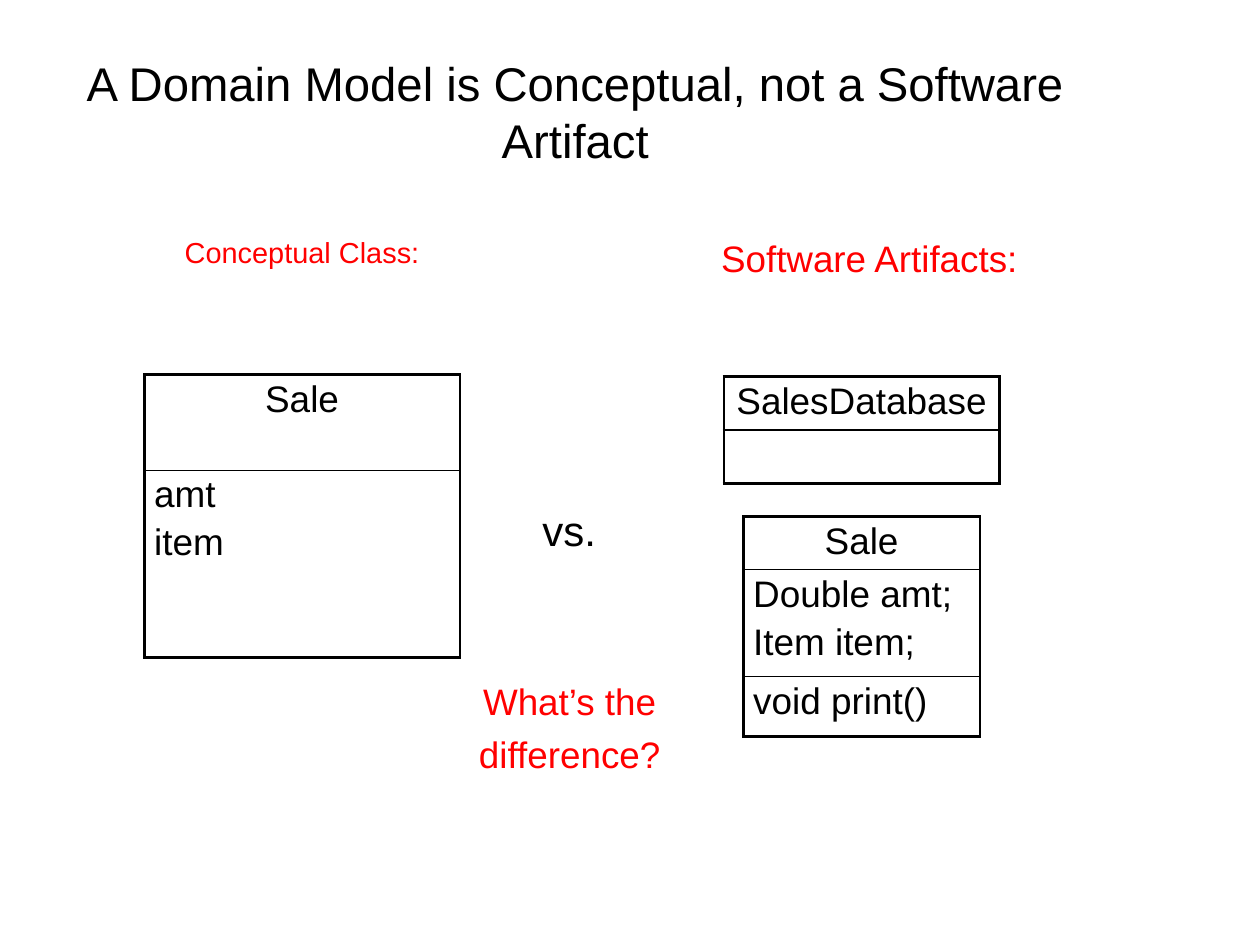
from lxml import etree
from pptx import Presentation
from pptx import util as u
from pptx.dml import color
from pptx.enum import text
from pptx.oxml import ns

BLACK, RED = "000000", "FF0000"
CENTER, LEFT = text.PP_ALIGN.CENTER, text.PP_ALIGN.LEFT
MIDDLE, TOP = text.MSO_ANCHOR.MIDDLE, text.MSO_ANCHOR.TOP
THICK, THIN = u.Pt(2.25), u.Pt(1)


def rgb(value):
    return color.RGBColor.from_string(value)


def write(frame, lines, size=30, fill=BLACK, align=CENTER, gap=5):
    for index, line in enumerate(lines):
        para = frame.add_paragraph() if index else frame.paragraphs[0]
        para.alignment = align
        para.space_before = u.Pt(gap if index else 0)
        span = para.add_run()
        span.text = line
        span.font.name = "Arial"
        span.font.size = u.Pt(size)
        span.font.color.rgb = rgb(fill)


def add_title(page, words):
    title = page.shapes.title
    title.left, title.top = u.Cm(1.35), u.Cm(1.07)
    title.width, title.height = u.Cm(30.28), u.Cm(4.24)
    title.text_frame.auto_size = text.MSO_AUTO_SIZE.NONE
    title.text_frame.vertical_anchor = MIDDLE
    write(title.text_frame, [words], size=38.4)


def add_label(page, lines, left, top, width=11.28, height=2.26, **style):
    box = page.shapes.add_textbox(u.Cm(left), u.Cm(top), u.Cm(width), u.Cm(height))
    box.text_frame.word_wrap = True
    write(box.text_frame, lines, gap=7, **style)


def add_border(cell, side, width):
    properties = cell._tc.get_or_add_tcPr()
    line = etree.SubElement(properties, ns.qn(f"a:ln{side}"), w=str(width))
    solid = etree.SubElement(line, ns.qn("a:solidFill"))
    etree.SubElement(solid, ns.qn("a:srgbClr"), val=BLACK)


def add_class(page, left, top, width, compartments):
    heights = [u.Cm(height) for height, _ in compartments]
    last = len(heights) - 1
    table = page.shapes.add_table(
        len(heights), 1, u.Cm(left), u.Cm(top), u.Cm(width), sum(heights)
    ).table
    table.first_row = table.horz_banding = False
    for index, (_, lines) in enumerate(compartments):
        table.rows[index].height = heights[index]
        cell = table.cell(index, 0)
        cell.margin_left = cell.margin_right = u.Cm(0.28)
        cell.margin_top = cell.margin_bottom = u.Cm(0.13)
        cell.vertical_anchor = TOP
        add_border(cell, "L", THICK)
        add_border(cell, "R", THICK)
        add_border(cell, "T", THIN if index else THICK)
        add_border(cell, "B", THICK if index == last else THIN)
        cell.fill.background()
        write(cell.text_frame, lines, align=LEFT if index else CENTER)


def main():
    deck = Presentation()
    deck.slide_width, deck.slide_height = u.Cm(36.12), u.Cm(27.1)
    page = deck.slides.add_slide(deck.slide_layouts.get_by_name("Title Only"))

    add_title(page, "A Domain Model is Conceptual, not a Software Artifact")
    add_label(page, ["Conceptual Class:"], 3.02, 6.6, size=23.5, fill=RED)
    add_class(page, 4.14, 10.74, 9.04, [(2.74, ["Sale"]), (5.38, ["amt", "item"])])
    add_class(page, 20.75, 10.8, 7.9, [(1.53, ["SalesDatabase"]), (1.53, [])])
    add_class(page, 21.31, 14.81, 6.78, [
        (1.53, ["Sale"]),
        (3.05, ["Double amt;", "Item item;"]),
        (1.73, ["void print()"]),
    ])
    add_label(page, ["Software Artifacts:"], 19.28, 6.63, size=29.9, fill=RED)
    add_label(page, ["vs."], 13.61, 14.35, width=5.41, size=34.1)
    add_label(page, ["What’s the", "difference?"], 10.69, 19.35, height=3.38,
              size=29.9, fill=RED)
    deck.save("out.pptx")


if __name__ == "__main__":
    main()
